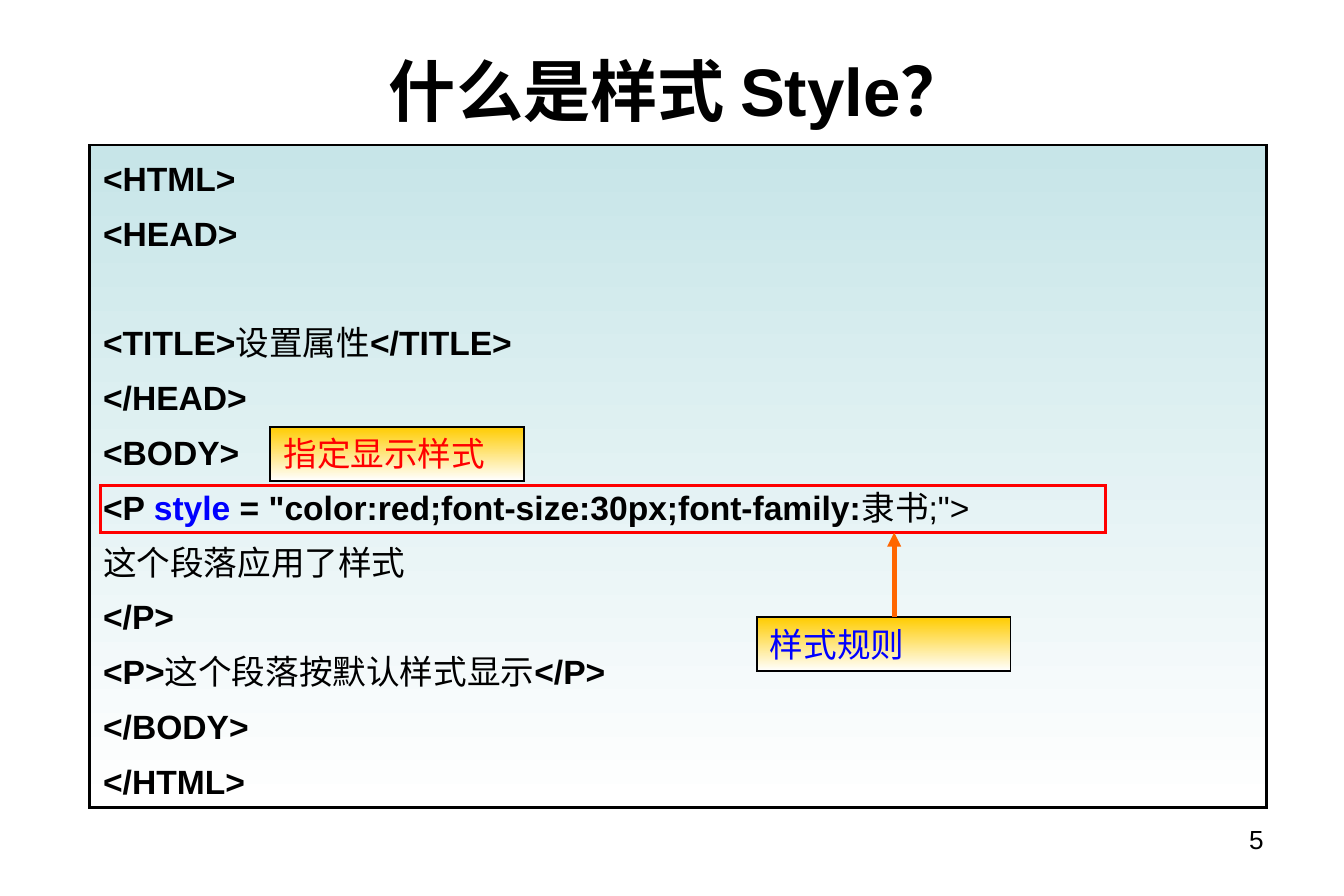
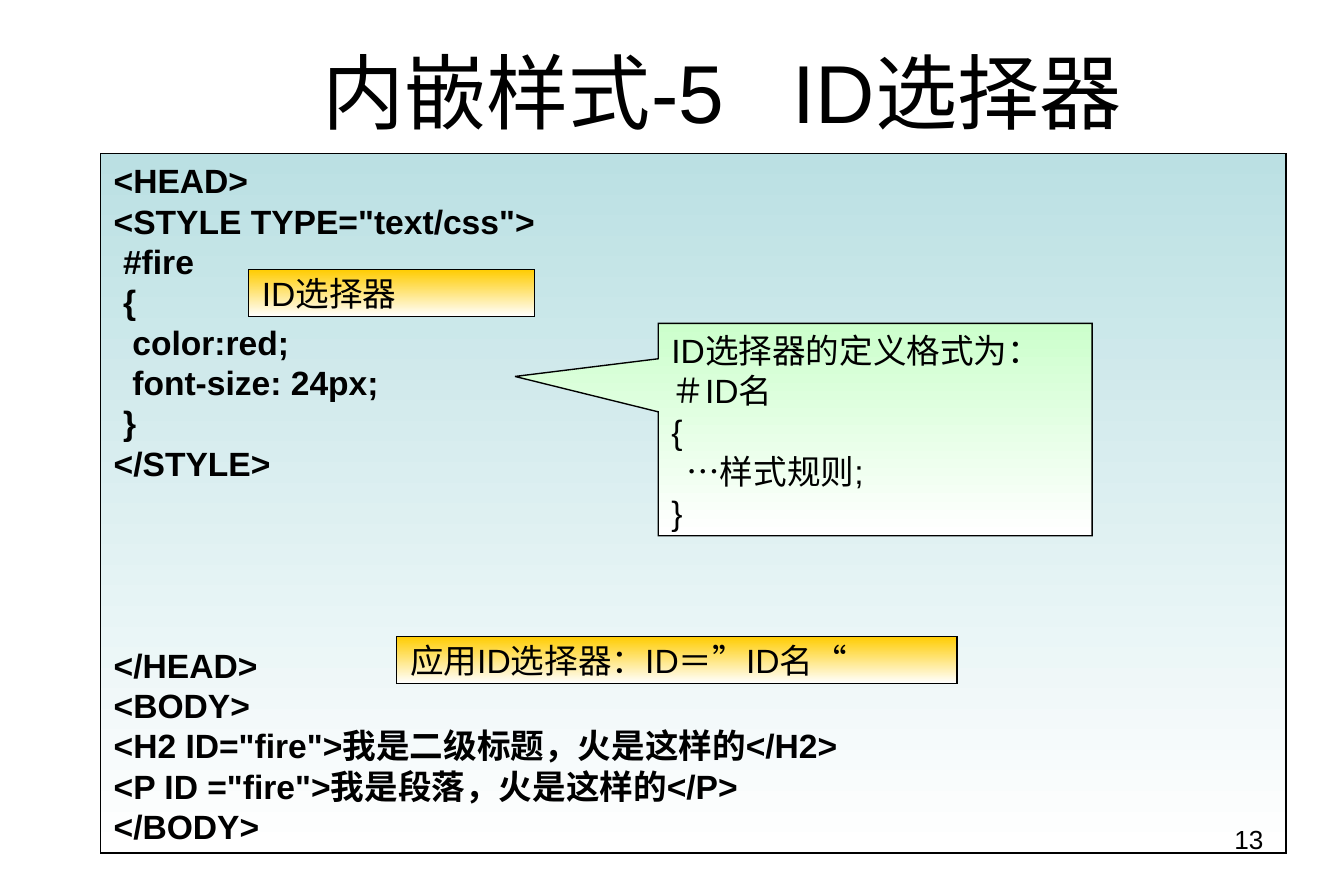
import dataclasses

import pptx
import pptx.dml.color
import pptx.enum.dml
import pptx.enum.shapes
import pptx.enum.text
import pptx.oxml.ns
import pptx.util
from lxml import etree

Cm = pptx.util.Cm
Pt = pptx.util.Pt
RGBColor = pptx.dml.color.RGBColor
SHAPE = pptx.enum.shapes.MSO_SHAPE
ANCHOR = pptx.enum.text.MSO_ANCHOR
ALIGN = pptx.enum.text.PP_ALIGN
qn = pptx.oxml.ns.qn

BLACK = RGBColor(0x00, 0x00, 0x00)
WHITE = RGBColor(0xFF, 0xFF, 0xFF)
RED = RGBColor(0xFF, 0x00, 0x00)
BLUE = RGBColor(0x00, 0x00, 0xFF)
ORANGE = RGBColor(0xFF, 0x66, 0x00)
GOLD = RGBColor(0xFF, 0xCC, 0x00)
MINT = RGBColor(0xCC, 0xFF, 0xCC)
TEAL = RGBColor(0xBB, 0xE0, 0xE3)
PALE_TEAL = RGBColor(0xC7, 0xE5, 0xE8)

BODY_FONT = "Arial"
LABEL_FONT = "Courier New"
BODY_SIZE = 18
SPACE_WIDTH = 5


@dataclasses.dataclass
class Run:
    text: str
    bold: bool = False
    color: RGBColor = BLACK
    tracking: float = 0


@dataclasses.dataclass
class Line:
    runs: list
    indent: float = 0
    gap: float = 0


def code(text, indent=0, gap=0):
    return Line([Run(text, True)], indent, gap)


def plain(text, indent=0, color=BLACK):
    return Line([Run(text, color=color)], indent)


def write(sp, lines, size=BODY_SIZE, font=BODY_FONT, anchor=ANCHOR.TOP,
          align=ALIGN.LEFT, spacing=1.0, before=0):
    tf = sp.text_frame
    tf.word_wrap = True
    tf.vertical_anchor = anchor
    for i, line in enumerate(lines):
        p = tf.paragraphs[0] if i == 0 else tf.add_paragraph()
        p.alignment = align
        p.line_spacing = spacing
        p.space_before = Pt(before + line.gap)
        if line.indent:
            p._p.get_or_add_pPr().set("marL", str(Pt(line.indent * SPACE_WIDTH)))
        for part in line.runs:
            r = p.add_run()
            r.text = part.text
            r.font.name = font
            r.font.size = Pt(size)
            r.font.bold = part.bold
            r.font.color.rgb = part.color
            if part.tracking:
                r._r.get_or_add_rPr().set("spc", str(round(part.tracking * 100)))


def add_box(s, left, top, width, height, line_color, line_width,
            fill=None, kind=SHAPE.RECTANGLE):
    sp = s.shapes.add_shape(kind, Cm(left), Cm(top), Cm(width), Cm(height))
    sp.shadow.inherit = False
    sp.line.color.rgb = line_color
    sp.line.width = Pt(line_width)
    etree.SubElement(sp.line._get_or_add_ln(), qn("a:miter"), lim="800000")
    if fill is None:
        sp.fill.background()
    else:
        sp.fill.gradient()
        sp.fill.gradient_angle = 270
        for stop, color, position in zip(sp.fill.gradient_stops, (fill, WHITE), (0, 1)):
            stop.color.rgb = color
            stop.position = position
    return sp


def add_text(s, left, top, width, height, line, **style):
    sp = s.shapes.add_textbox(Cm(left), Cm(top), Cm(width), Cm(height))
    write(sp, [line], **style)


def add_title(s, left, top, width, height, runs, size):
    add_text(s, left, top, width, height, Line(runs), size=size,
             anchor=ANCHOR.BOTTOM, align=ALIGN.CENTER)


def add_number(s, number):
    add_text(s, 18.21, 15.42, 5.92, 1.17, plain(str(number)), size=14, align=ALIGN.RIGHT)


def add_label(s, left, top, width, height, text, line_width, color=BLACK, **style):
    sp = add_box(s, left, top, width, height, BLACK, line_width, GOLD)
    write(sp, [plain(text, color=color)], **style)


def add_arrow(s, x1, y1, x2, y2):
    c = s.shapes.add_connector(pptx.enum.shapes.MSO_CONNECTOR.STRAIGHT,
                               Cm(x1), Cm(y1), Cm(x2), Cm(y2))
    c.line.color.rgb = ORANGE
    c.line.width = Pt(2.5)
    etree.SubElement(c.line._get_or_add_ln(), qn("a:tailEnd"), type="triangle")
    etree.SubElement(c._element.spPr, qn("a:effectLst"))


def build_style_slide(s):
    lines = [
        code("<HTML>"),
        code("<HEAD>"),
        Line([Run("<TITLE>", True), Run("设置属性"), Run("</TITLE>", True)], gap=29.3),
        code("</HEAD>"),
        code("<BODY>"),
        Line([Run("<P ", True), Run("style", True, BLUE),
              Run(' = "color:red;font-size:30px;font-family:', True), Run('隶书;">')]),
        plain("这个段落应用了样式"),
        code("</P>"),
        Line([Run("<P>", True), Run("这个段落按默认样式显示"), Run("</P>", True)]),
        code("</BODY>"),
        code("</HTML>"),
    ]
    listing = add_box(s, 1.7, 2.74, 22.23, 12.52, BLACK, 1.5, PALE_TEAL)
    write(listing, lines, anchor=ANCHOR.MIDDLE, spacing=1.15, before=4.5)
    add_title(s, 2, 0.65, 21.64, 1.93, [Run("什么是样式 Style？", True)], 36)
    add_label(s, 5.11, 8.06, 4.8, 1.02, "指定显示样式", 1, RED, font=LABEL_FONT)
    add_box(s, 1.9, 9.17, 19, 0.89, RED, 1.75)
    add_label(s, 14.3, 11.66, 4.8, 1.02, "样式规则", 1, BLUE, font=LABEL_FONT)
    add_arrow(s, 16.9, 11.66, 16.9, 10.06)
    add_number(s, 5)


def build_id_slide(s):
    lines = [
        code("<HEAD>"),
        code('<STYLE TYPE="text/css">'),
        code("#fire", 1),
        code("{", 1),
        code("color:red;", 2),
        code("font-size: 24px;", 2),
        code("}", 1),
        code("</STYLE>"),
        code("</HEAD>", gap=86.6),
        code("<BODY>"),
        code('<H2 ID="fire">我是二级标题，火是这样的</H2>'),
        code('<P ID ="fire">我是段落，火是这样的</P>'),
        code("</BODY>"),
    ]
    listing = add_box(s, 1.9, 2.9, 22.4, 13.21, BLACK, 1, TEAL)
    write(listing, lines, anchor=ANCHOR.MIDDLE)
    title = [Run("内嵌样式-5"), Run(" ", tracking=24.4), Run("ID选择器")]
    add_title(s, 1.9, 0, 23.5, 2.77, title, 44)
    add_label(s, 4.7, 5.09, 5.4, 0.89, "ID选择器", 0.75, anchor=ANCHOR.MIDDLE)
    callout = add_box(s, 12.44, 6.11, 8.2, 4.01, BLACK, 0.75, MINT,
                      SHAPE.RECTANGULAR_CALLOUT)
    callout.adjustments[0] = -0.83
    callout.adjustments[1] = -0.25
    write(callout, [plain("ID选择器的定义格式为："), plain("＃ID名"), plain("{"),
                    plain("…样式规则;", 1.6), plain("}")])
    add_label(s, 7.5, 12.02, 10.59, 0.89, "应用ID选择器：ID＝”ID名“", 0.75,
              anchor=ANCHOR.MIDDLE)
    add_number(s, 13)


def main():
    prs = pptx.Presentation()
    prs.slide_width = Cm(25.4)
    prs.slide_height = Pt(479.75)
    for build in (build_style_slide, build_id_slide):
        build(prs.slides.add_slide(prs.slide_layouts[6]))
    prs.save("out.pptx")


main()
